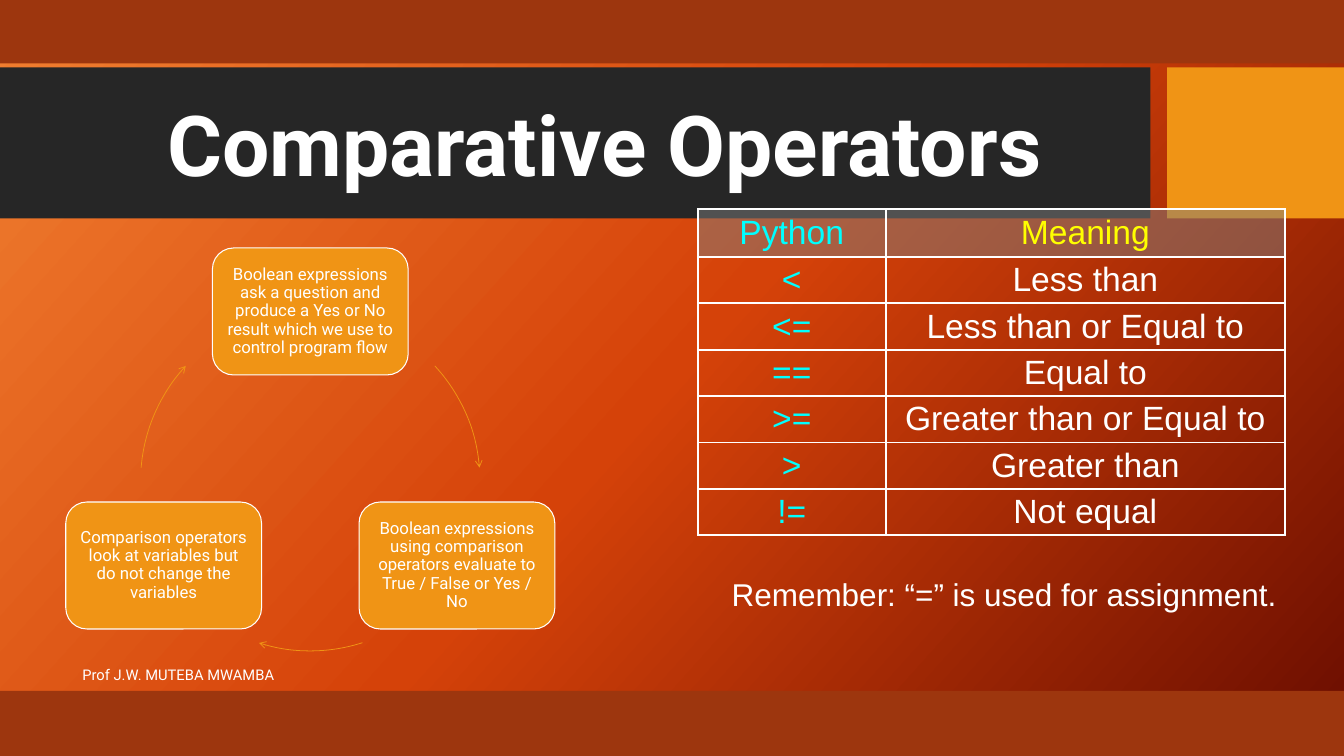
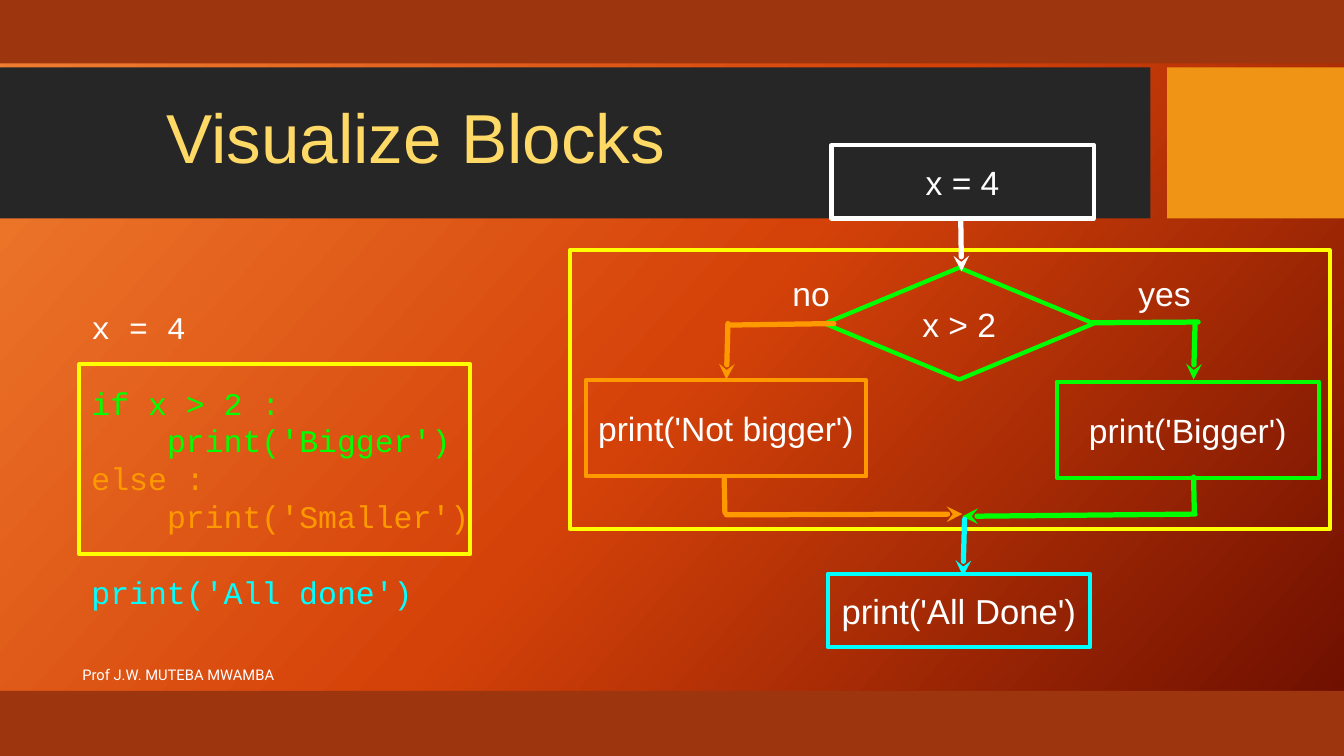
from copy import deepcopy
from pptx import Presentation
from pptx.dml.color import RGBColor
from pptx.enum.shapes import MSO_CONNECTOR, MSO_SHAPE
from pptx.enum.text import MSO_ANCHOR, PP_ALIGN
from pptx.oxml import parse_xml
from pptx.oxml.ns import nsdecls, qn
from pptx.oxml.xmlchemy import OxmlElement
from pptx.util import Inches, Pt

COLORS = {
    "band": "9D360E", "title_bar": "262626", "accent": "F09415",
    "white": "FFFFFF", "gold": "FFD966", "yellow": "FFFF00",
    "cyan": "00FFFF", "green": "00FF00", "orange": "FF9900",
    "header": "7F7F7F",
}
BACKGROUND_STOPS = [(0, "F18031"), (0.5, "D54209"), (1, "6A0D00")]
BANDS = [
    (0, 0, 17.78, 0.84, "band"),
    (0, 9.14, 17.78, 0.86, "band"),
    (0, 0.89, 15.22, 2, "title_bar"),
    (15.44, 0.89, 2.34, 2, "accent"),
]
FOOTER = "Prof J.W. MUTEBA MWAMBA"

CARD_SIZE = (2.59, 1.68)
CARDS = [
    (2.81, 3.28, "Boolean expressions ask a question and produce a Yes or No "
                 "result which we use to control program flow"),
    (4.75, 6.64, "Boolean expressions using comparison operators evaluate to "
                 "True / False or Yes / No"),
    (0.87, 6.64, "Comparison operators look at variables but do not change "
                 "the variables"),
]
CYCLE_BOX = (1.86, 4.12, 4.49, 4.49)
CYCLE_ANGLES = [(317.2, 355.4), (72.1, 107.6), (184.6, 222.8)]
OPERATORS = [
    ("Python", "Meaning"),
    ("<", "Less than"),
    ("<=", "Less than or Equal to"),
    ("==", "Equal to"),
    (">=", "Greater than or Equal to"),
    (">", "Greater than"),
    ("!=", "Not equal"),
]

CODE_LINES = [
    ("x = 4", "white", 0, 0),
    ("if x > 2 :", "green", 0, 36),
    ("print('Bigger')", "green", 1, 0),
    ("else :", "orange", 0, 0),
    ("print('Smaller')", "orange", 1, 0),
    ("print('All done')", "cyan", 0, 36),
]
FRAMES = [(1.05, 4.82, 5.17, 2.51), (7.54, 3.31, 10.05, 3.69)]
FLOW_NODES = [
    (MSO_SHAPE.DIAMOND, (10.91, 3.54, 3.56, 1.48), "x > 2", "green", 32),
    (MSO_SHAPE.RECTANGLE, (13.98, 5.05, 3.47, 1.27), "print('Bigger')", "green", 32),
    (MSO_SHAPE.RECTANGLE, (11, 1.92, 3.47, 0.97), "x = 4", "white", 32),
    (MSO_SHAPE.RECTANGLE, (10.95, 7.59, 3.47, 0.97), "print('All Done')", "cyan", 33),
    (MSO_SHAPE.RECTANGLE, (7.75, 5.03, 3.71, 1.27), "print('Not bigger')", "orange", 32),
]
FLOW_LINES = [
    (14.45, 4.27, 15.85, 4.26, "green", False),
    (15.81, 4.28, 15.79, 5.02, "green", True),
    (15.8, 6.77, 15.79, 6.31, "green", False),
    (15.81, 6.8, 12.73, 6.83, "green", True),
    (12.71, 2.9, 12.72, 3.59, "white", True),
    (9.63, 4.3, 11.03, 4.28, "orange", False),
    (9.63, 4.28, 9.61, 5.02, "orange", True),
    (9.59, 6.78, 9.58, 6.32, "orange", False),
    (9.61, 6.81, 12.73, 6.8, "orange", True),
    (12.76, 6.87, 12.74, 7.62, "cyan", True),
]
BRANCH_LABELS = [("yes", (14.96, 3.6, 0.89, 0.56)), ("no", (10.46, 3.6, 0.54, 0.56))]


def color(name):
    return RGBColor.from_string(COLORS[name])


def inches(box):
    return [Inches(length) for length in box]


def format_paragraph(paragraph, size, color_name="white", font="Arial",
                     bold=False, align=PP_ALIGN.CENTER):
    paragraph.alignment = align
    for run in paragraph.runs:
        run.font.size = Pt(size)
        run.font.name = font
        run.font.bold = bold
        run.font.color.rgb = color(color_name)


def prepare_frame(text_frame, inset=0.0):
    text_frame.word_wrap = True
    text_frame.vertical_anchor = MSO_ANCHOR.MIDDLE
    text_frame.margin_left = text_frame.margin_right = Inches(inset)
    text_frame.margin_top = text_frame.margin_bottom = Inches(inset)


def write_text(shape, text, size, inset=0.0, **style):
    prepare_frame(shape.text_frame, inset)
    shape.text_frame.text = text
    format_paragraph(shape.text_frame.paragraphs[0], size, **style)


def add_label(slide, box, text, size, **style):
    label = slide.shapes.add_textbox(*inches(box))
    write_text(label, text, size, **style)
    return label


def add_box(slide, kind, box, fill=None, line=None, width=1):
    shape = slide.shapes.add_shape(kind, *inches(box))
    shape.shadow.inherit = False
    if fill:
        shape.fill.solid()
        shape.fill.fore_color.rgb = color(fill)
    else:
        shape.fill.background()
    if line:
        shape.line.color.rgb = color(line)
        shape.line.width = Pt(width)
    else:
        shape.line.fill.background()
    return shape


def add_arrowhead(shape, kind):
    tail = OxmlElement("a:tailEnd")
    tail.set("type", kind)
    shape.line._get_or_add_ln().append(tail)


def add_flow_line(slide, start_x, start_y, end_x, end_y, color_name, arrow):
    connector = slide.shapes.add_connector(
        MSO_CONNECTOR.STRAIGHT, *inches((start_x, start_y, end_x, end_y)))
    connector.line.color.rgb = color(color_name)
    connector.line.width = Pt(5)
    connector.line._get_or_add_ln().set("cap", "rnd")
    if arrow:
        add_arrowhead(connector, "stealth")
    connector._element.spPr.append(OxmlElement("a:effectLst"))


def add_cycle_arrow(slide, start_angle, end_angle):
    arc = add_box(slide, MSO_SHAPE.ARC, CYCLE_BOX, line="accent", width=0.75)
    arc.adjustments[0] = start_angle * 0.6
    arc.adjustments[1] = end_angle * 0.6
    add_arrowhead(arc, "arrow")


def add_cell_borders(cell):
    properties = cell._tc.get_or_add_tcPr()
    for index, side in enumerate(("lnL", "lnR", "lnT", "lnB")):
        properties.insert(index, parse_xml(
            f'<a:{side} {nsdecls("a")} w="{Pt(2)}"><a:solidFill>'
            f'<a:srgbClr val="{COLORS["white"]}"/></a:solidFill></a:{side}>'))


def fill_header(cell):
    cell.fill.solid()
    cell.fill.fore_color.rgb = color("header")
    alpha = OxmlElement("a:alpha")
    alpha.set("val", "49000")
    cell._tc.tcPr.find(".//" + qn("a:srgbClr")).append(alpha)


def add_operator_table(slide):
    table = slide.shapes.add_table(
        len(OPERATORS), 2, *inches((9.23, 2.77, 7.77, 4.23))).table
    table.first_row = table.horz_banding = False
    table.columns[0].width, table.columns[1].width = inches((2.49, 5.28))
    for row_index, values in enumerate(OPERATORS):
        is_header = row_index == 0
        table.rows[row_index].height = Inches(0.63 if is_header else 0.6)
        text_colors = ("cyan", "yellow" if is_header else "white")
        for column_index, value in enumerate(values):
            cell = table.cell(row_index, column_index)
            cell.text = value
            cell.vertical_anchor = MSO_ANCHOR.MIDDLE
            cell.margin_left = cell.margin_right = Inches(0.04)
            cell.margin_top = cell.margin_bottom = Inches(0.04)
            format_paragraph(cell.text_frame.paragraphs[0], 32, text_colors[column_index])
            if is_header:
                fill_header(cell)
            else:
                cell.fill.background()
            add_cell_borders(cell)


def add_code(slide):
    text_frame = slide.shapes.add_textbox(*inches((1.21, 3.88, 5.26, 4.39))).text_frame
    prepare_frame(text_frame)
    for index, (text, color_name, level, gap) in enumerate(CODE_LINES):
        paragraph = text_frame.add_paragraph() if index else text_frame.paragraphs[0]
        paragraph.text = text
        paragraph.space_before = Pt(gap)
        paragraph.line_spacing = Pt(36)
        paragraph._p.get_or_add_pPr().set("marL", str(Inches(level)))
        format_paragraph(paragraph, 30, color_name, "Courier New", align=PP_ALIGN.LEFT)


def set_background(master):
    fill = master.background.fill
    fill.gradient()
    fill.gradient_angle = 318
    stop_list = next(master.element.cSld.iter(qn("a:gsLst")))
    stop_list.append(deepcopy(stop_list[-1]))
    for stop, (position, hex_value) in zip(fill.gradient_stops, BACKGROUND_STOPS):
        stop.position = position
        stop.color.rgb = RGBColor.from_string(hex_value)


def add_base_slide(presentation, title, title_box, size, **style):
    slide = presentation.slides.add_slide(presentation.slide_layouts[6])
    for *box, fill in BANDS:
        add_box(slide, MSO_SHAPE.RECTANGLE, box, fill)
    add_label(slide, title_box, title, size, inset=0.04, **style)
    add_label(slide, (0.99, 8.66, 10.02, 0.53), FOOTER, 14, inset=0.1,
              font="Roboto", align=PP_ALIGN.LEFT)
    return slide


def build_operators_slide(presentation):
    slide = add_base_slide(presentation, "Comparative Operators",
                           (0.99, 1.1, 14.02, 1.58), 80, font="Roboto", bold=True)
    for left, top, text in CARDS:
        card = add_box(slide, MSO_SHAPE.ROUNDED_RECTANGLE, (left, top, *CARD_SIZE),
                       "accent", "white")
        write_text(card, text, 16, inset=0.07, font="Roboto")
        card.text_frame.paragraphs[0].line_spacing = 0.9
    for angles in CYCLE_ANGLES:
        add_cycle_arrow(slide, *angles)
    add_label(slide, (9.57, 7.57, 7.43, 0.56),
              "Remember: “=” is used for assignment.", 30)
    add_operator_table(slide)


def build_blocks_slide(presentation):
    slide = add_base_slide(presentation, "Visualize Blocks",
                           (1.26, 0.82, 8.48, 1.96), 66, color_name="gold")
    for frame in FRAMES:
        add_box(slide, MSO_SHAPE.RECTANGLE, frame, line="yellow", width=4)
    add_code(slide)
    for kind, box, text, line, size in FLOW_NODES:
        node = add_box(slide, kind, box, line=line, width=4)
        write_text(node, text, size)
    for flow_line in FLOW_LINES:
        add_flow_line(slide, *flow_line)
    for text, box in BRANCH_LABELS:
        add_label(slide, box, text, 32)


def main():
    presentation = Presentation()
    presentation.slide_width, presentation.slide_height = inches((17.78, 10))
    set_background(presentation.slide_master)
    build_operators_slide(presentation)
    build_blocks_slide(presentation)
    presentation.save("out.pptx")


if __name__ == "__main__":
    main()
